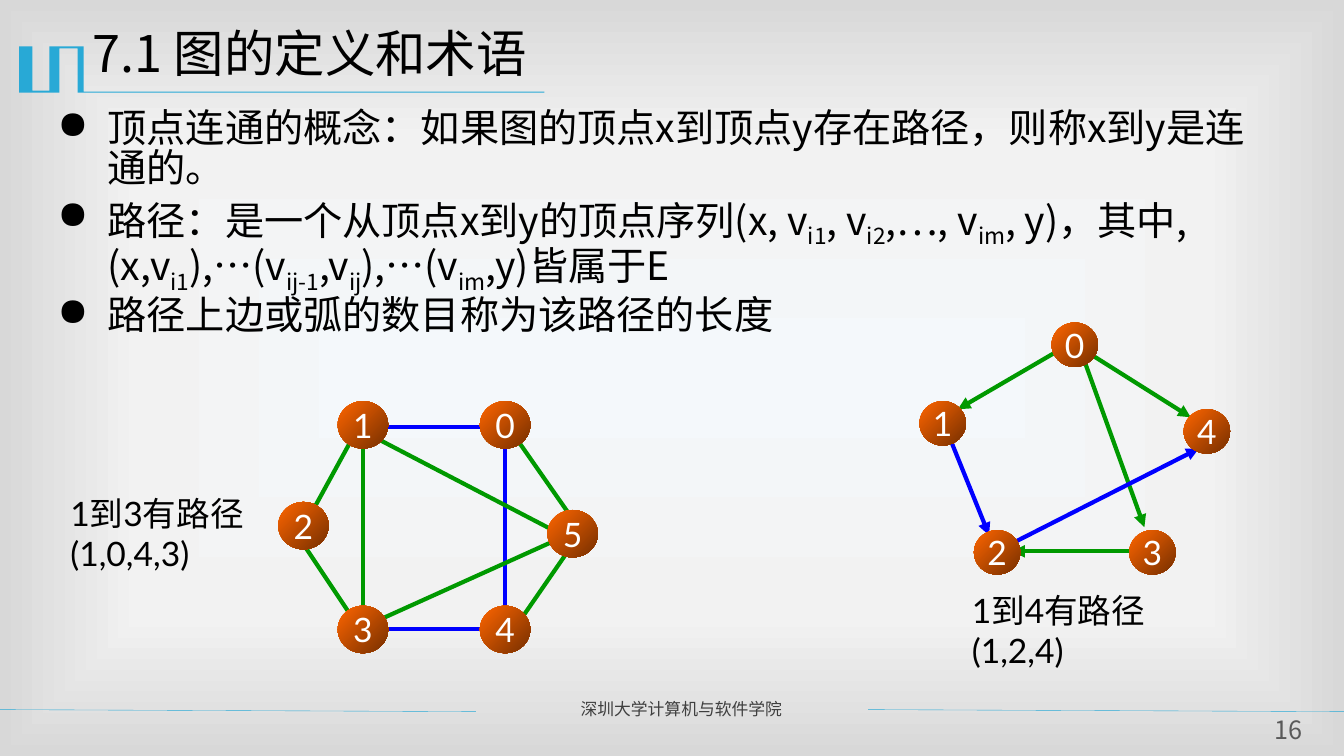
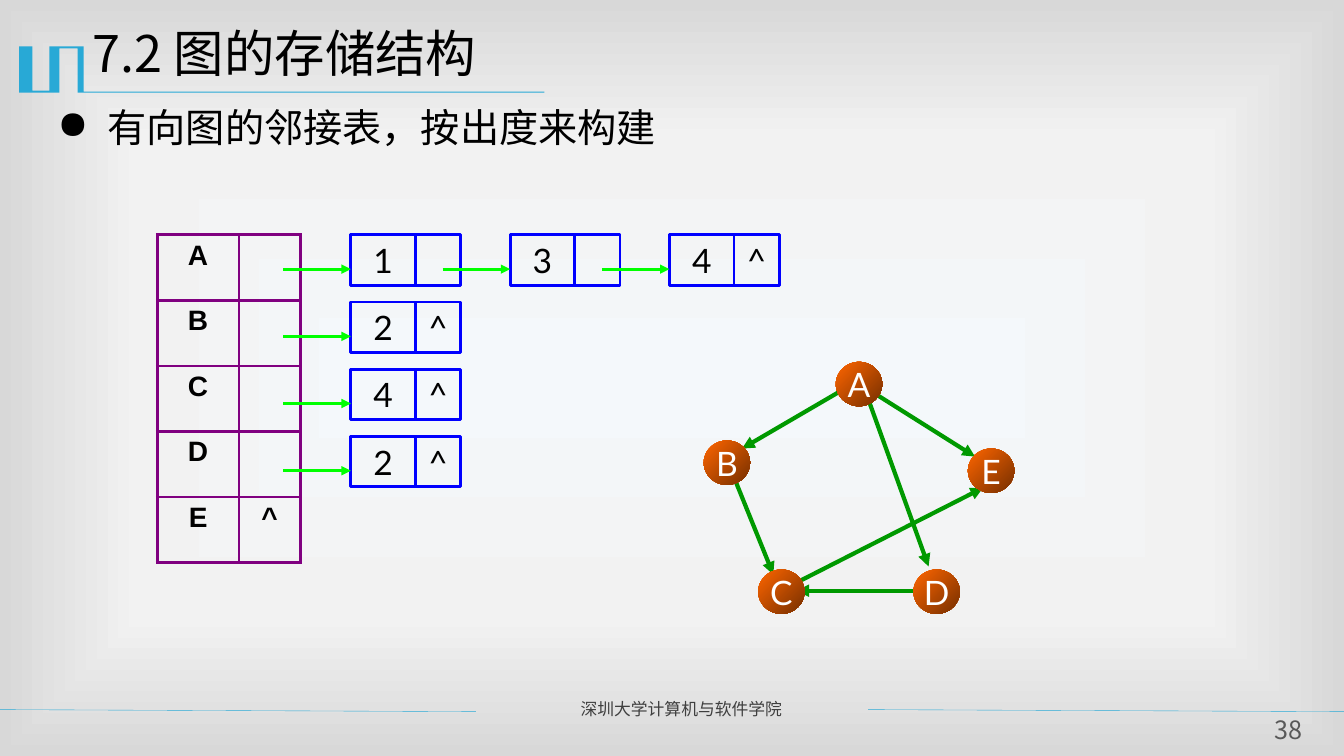
from dataclasses import dataclass

from lxml import etree
from pptx import Presentation
from pptx.dml.color import RGBColor
from pptx.enum import shapes, text
from pptx.oxml import parse_xml
from pptx.oxml.ns import nsdecls, qn
from pptx.util import Inches, Pt


@dataclass(frozen=True)
class Style:
    size: int
    color: str
    font: str = "Noto Sans CJK SC"
    spacing: float = 0.85
    bold: bool = False


@dataclass(frozen=True)
class Theme:
    accent: str = "28A9D6"
    path_blue: str = "0000FF"
    edge_green: str = "009900"
    pointer_green: str = "00FF00"
    table_purple: str = "800080"
    node_light: str = "FF6600"
    node_dark: str = "762F00"
    background: tuple = ((0, "F4F8FB"), (63, "F2F2F2"), (100, "D8D8D8"))
    title: Style = Style(36, "000000", spacing=0.9)
    body: Style = Style(28, "000000")
    footer: Style = Style(12, "3F3F3F")
    number: Style = Style(18, "595959")
    label: Style = Style(24, "000000", "Lato", 1.0)
    node: Style = Style(24, "FFFFFF", "Lato", 1.0)
    cell: Style = Style(20, "000000", "Arial", 1.0, True)


THEME = Theme()
CENTER = text.PP_ALIGN.CENTER

BADGE = [
    (0.82, 0.46), (0.83, 0.46), (0.83, 0.91), (5.4, 0.91), (5.4, 0.92),
    (0.77, 0.92), (0.77, 0.48), (0.59, 0.48), (0.59, 0.92), (0.19, 0.92),
    (0.19, 0.46), (0.32, 0.46), (0.32, 0.9), (0.49, 0.9), (0.49, 0.46),
]

UNDIRECTED_NODES = {
    "1": (0.59, 0), "3": (0.59, 2.03), "2": (0, 1),
    "5": (2.67, 1.08), "4": (2, 2.03), "0": (2, 0),
}
UNDIRECTED_EDGES = {
    "01": (2.09, 0.26, 1.09, 0.26),
    "04": (2.25, 0.42, 2.25, 2.09),
    "05": (2.34, 0.34, 2.92, 1.17),
    "12": (0.75, 0.34, 0.34, 1.09),
    "31": (0.84, 2.17, 0.84, 0.42),
    "51": (2.84, 1.34, 0.92, 0.34),
    "32": (0.75, 2.17, 0.25, 1.42),
    "43": (2.17, 2.26, 0.92, 2.26),
    "53": (2.84, 1.34, 1, 2.17),
    "54": (2.92, 1.42, 2.34, 2.26),
}
DIRECTED_NODES = [(1.31, 0), (0, 0.78), (0.54, 2.06), (2.08, 2.06), (2.62, 0.86)]
DIRECTED_EDGES = {
    "04": (1.69, 0.31, 2.69, 0.94),
    "12": (0.31, 1.17, 0.69, 2.11),
    "01": (1.46, 0.23, 0.38, 0.86),
    "03": (1.61, 0.31, 2.23, 2.03),
    "32": (2.08, 2.27, 0.92, 2.27),
    "24": (0.92, 2.19, 2.77, 1.25),
}


def rgb(value):
    return RGBColor.from_string(value)


def format_paragraph(para, style, align=None):
    para.alignment = align
    para.line_spacing = style.spacing
    for span in para.runs:
        span.font.size = Pt(style.size)
        span.font.bold = style.bold
        span.font.color.rgb = rgb(style.color)
        span.font.name = style.font
        east_asian = etree.SubElement(span._r.get_or_add_rPr(), qn("a:ea"))
        east_asian.set("typeface", style.font)


def set_insets(frame, side, edge):
    frame.margin_left = frame.margin_right = Inches(side)
    frame.margin_top = frame.margin_bottom = Inches(edge)


def add_text(page, words, area, style, align=None):
    box = page.shapes.add_textbox(*map(Inches, area))
    frame = box.text_frame
    frame.word_wrap = True
    frame.text = words
    format_paragraph(frame.paragraphs[0], style, align)
    return box


def add_bullets(page, items):
    box = page.shapes.add_textbox(*map(Inches, (0.47, 1.05, 12.13, 5.62)))
    frame = box.text_frame
    frame.word_wrap = True
    for index, item in enumerate(items):
        para = frame.add_paragraph() if index else frame.paragraphs[0]
        for position, words in enumerate(item.split("|")):
            span = para.add_run()
            span.text = words
            if position % 2:
                span._r.get_or_add_rPr().set("baseline", "-25000")
        if index:
            para.space_before = Pt(THEME.body.size * 0.2)
        properties = para._p.get_or_add_pPr()
        properties.set("marL", str(Inches(0.5)))
        properties.set("indent", str(-Inches(0.5)))
        etree.SubElement(properties, qn("a:buChar")).set("char", "●")
        format_paragraph(para, THEME.body)


def add_line(page, ends, color, width, arrow=False):
    line = page.shapes.add_connector(
        shapes.MSO_CONNECTOR.STRAIGHT, *map(Inches, ends))
    line.line.color.rgb = rgb(color)
    line.line.width = Pt(width)
    properties = line._element.spPr
    if arrow:
        stroke = properties.find(qn("a:ln"))
        etree.SubElement(stroke, qn("a:tailEnd")).set("type", "triangle")
    etree.SubElement(properties, qn("a:effectLst"))


def add_labelled_shape(page, kind, words, area, style):
    shape = page.shapes.add_shape(kind, *map(Inches, area))
    shape.shadow.inherit = False
    frame = shape.text_frame
    frame.word_wrap = False
    frame.vertical_anchor = text.MSO_ANCHOR.MIDDLE
    set_insets(frame, 0, 0.05)
    frame.text = words
    format_paragraph(frame.paragraphs[0], style, CENTER)
    return shape


def add_node(page, name, left, top, width, height):
    node = add_labelled_shape(page, shapes.MSO_SHAPE.OVAL, name,
                              (left, top, width, height), THEME.node)
    node.fill.gradient()
    node.fill.gradient_angle = 315
    for stop, color in zip(node.fill.gradient_stops,
                           (THEME.node_light, THEME.node_dark)):
        stop.color.rgb = rgb(color)
    node.line.fill.background()


def add_graph(page, origin, nodes, edges, size, path=(), arrow=False):
    left, top = origin
    for name, (x1, y1, x2, y2) in edges.items():
        color = THEME.path_blue if name in path else THEME.edge_green
        add_line(page, (left + x1, top + y1, left + x2, top + y2),
                 color, 3, arrow)
    for name, (x, y) in nodes.items():
        add_node(page, name, left + x, top + y, *size)


def add_directed_graph(page, origin, names, path=()):
    add_graph(page, origin, dict(zip(names, DIRECTED_NODES)), DIRECTED_EDGES,
              (0.46, 0.44), path, arrow=True)


def add_vertex_table(page, rows):
    columns = (0.81, 0.61)
    area = map(Inches, (1.56, 2.33, sum(columns), 0.65 * len(rows)))
    table = page.shapes.add_table(len(rows), len(columns), *area).table
    table.first_row = table.horz_banding = False
    for column, width in zip(table.columns, columns):
        column.width = Inches(width)
    for row, values in zip(table.rows, rows):
        row.height = Inches(0.65)
        for cell, value in zip(row.cells, values):
            cell.text = value
            format_paragraph(cell.text_frame.paragraphs[0], THEME.cell, CENTER)
            add_borders(cell)
            cell.fill.background()


def add_borders(cell):
    properties = cell._tc.get_or_add_tcPr()
    for side in ("lnL", "lnR", "lnT", "lnB"):
        properties.append(parse_xml(
            f'<a:{side} {nsdecls("a")} w="{Pt(2.25)}"><a:solidFill>'
            f'<a:srgbClr val="{THEME.table_purple}"/></a:solidFill></a:{side}>'))


def add_linked_lists(page, lists):
    for row, values in enumerate(lists):
        top = 2.33 + row * 2 / 3
        for step, value in enumerate(values):
            left = 3.48 + 1.58 * step
            ending = "^" if step == len(values) - 1 else ""
            for words, start, width in ((value, left, 0.64),
                                        (ending, left + 0.64, 0.45)):
                part = add_labelled_shape(
                    page, shapes.MSO_SHAPE.RECTANGLE, words,
                    (start, top, width, 0.5), THEME.label)
                part.fill.background()
                part.line.color.rgb = rgb(THEME.path_blue)
                part.line.width = Pt(2)
            add_line(page, (left - 0.67, top + 0.34, left, top + 0.34),
                     THEME.pointer_green, 2.25, arrow=True)


def set_background(deck):
    master = deck.slide_master
    master.background.fill.gradient()
    stops = "".join(
        f'<a:gs pos="{place * 1000}"><a:srgbClr val="{color}"/></a:gs>'
        for place, color in THEME.background)
    gradient = parse_xml(
        f'<a:gradFill {nsdecls("a")} rotWithShape="1"><a:gsLst>{stops}</a:gsLst>'
        '<a:path path="rect"><a:fillToRect l="50000" t="50000" r="50000"'
        ' b="50000"/></a:path></a:gradFill>')
    current = next(master.element.iter(qn("a:gradFill")))
    current.getparent().replace(current, gradient)


def add_page(deck, title, number):
    page = deck.slides.add_slide(deck.slide_layouts[6])
    points = [(Inches(x), Inches(y)) for x, y in BADGE]
    builder = page.shapes.build_freeform(*points[0])
    builder.add_line_segments(points[1:], close=True)
    badge = builder.convert_to_shape()
    badge.shadow.inherit = False
    badge.fill.solid()
    badge.fill.fore_color.rgb = rgb(THEME.accent)
    badge.line.fill.background()
    for left, right in ((-0.01, 4.72), (8.61, 13.33)):
        add_line(page, (left, 7.04, right, 7.06), THEME.accent, 0.25)
    add_text(page, "深圳大学计算机与软件学院", (5.66, 6.91, 2.85, 0.3),
             THEME.footer, text.PP_ALIGN.JUSTIFY)
    add_text(page, title, (0.82, 0.24, 12, 0.87), THEME.title)
    number_box = add_text(page, number, (12.48, 7.13, 0.59, 0.31),
                          THEME.number, CENTER)
    set_insets(number_box.text_frame, 0, 0)
    return page


def add_definitions(deck):
    page = add_page(deck, "7.1 图的定义和术语", "16")
    add_bullets(page, [
        "顶点连通的概念：如果图的顶点x到顶点y存在路径，则称x到y是连通的。",
        "路径：是一个从顶点x到y的顶点序列(x, v|i1|, v|i2|,…, v|im|, y)，其中,"
        "(x,v|i1|),…(v|ij-1|,v|ij|),…(v|im|,y)皆属于E",
        "路径上边或弧的数目称为该路径的长度",
    ])
    add_graph(page, (2.76, 3.98), UNDIRECTED_NODES, UNDIRECTED_EDGES,
              (0.5, 0.47), path=("01", "04", "43"))
    add_text(page, "1到3有路径(1,0,4,3)", (0.6, 4.84, 2, 0.91), THEME.label)
    add_directed_graph(page, (9.12, 3.2), "01234", path=("12", "24"))
    add_text(page, "1到4有路径(1,2,4)", (9.54, 5.8, 2, 0.91), THEME.label)


def add_storage(deck):
    page = add_page(deck, "7.2 图的存储结构", "38")
    add_bullets(page, ["有向图的邻接表，按出度来构建"])
    add_vertex_table(page, [("A", ""), ("B", ""), ("C", ""), ("D", ""), ("E", "^")])
    add_linked_lists(page, ["134", "2", "4", "2"])
    add_directed_graph(page, (6.98, 3.59), "ABCDE")


def main():
    deck = Presentation()
    deck.slide_width, deck.slide_height = Inches(13.33), Inches(7.5)
    set_background(deck)
    add_definitions(deck)
    add_storage(deck)
    deck.save("out.pptx")


if __name__ == "__main__":
    main()
